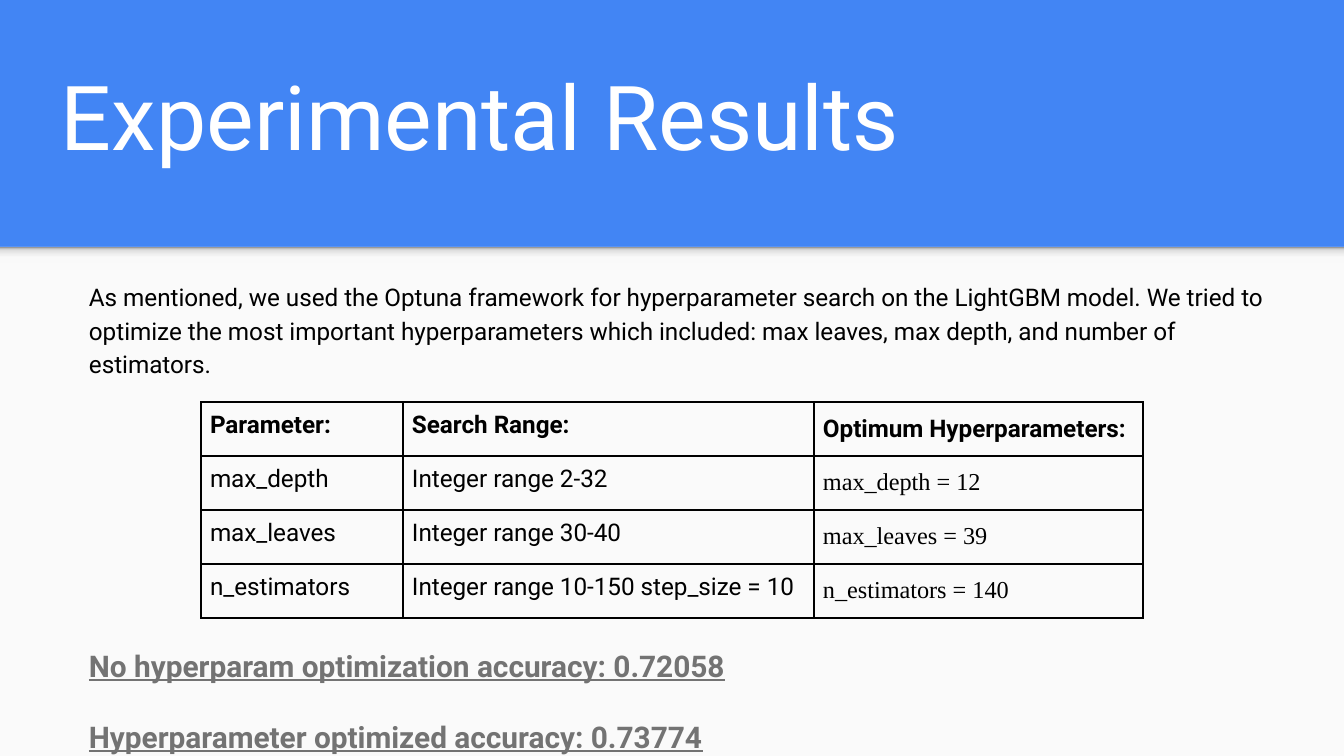
from lxml import etree
from pptx import Presentation
from pptx.dml.color import RGBColor
from pptx.enum.shapes import MSO_SHAPE
from pptx.enum.text import MSO_ANCHOR
from pptx.oxml.ns import qn
from pptx.util import Pt

RECTANGLE = MSO_SHAPE.RECTANGLE
TOP, BOTTOM = MSO_ANCHOR.TOP, MSO_ANCHOR.BOTTOM

EMU_PER_PX = 914400 / 134.4
PAGE_WIDTH, PAGE_HEIGHT = 1344, 756
BAND_HEIGHT = 247
INSET = 13
CELL_INSET = 9
LINE_SPACING = 1.15

SANS, SERIF = "Roboto", "Times New Roman"
COLORS = {
    "band": "4285F4",
    "panel": "FAFAFA",
    "title": "FFFFFF",
    "text": "000000",
    "accuracy": "737373",
    "border": "000000",
}
SHADOW_STOPS = [(0, "F9F9F9"), (36, "F9F9F9"), (80, "DEDEDE"), (100, "999999")]

INTRO = (
    "As mentioned, we used the Optuna framework for hyperparameter search on the "
    "LightGBM model. We tried to optimize the most important hyperparameters which "
    "included: max leaves, max depth, and number of estimators."
)
ACCURACIES = [
    "No hyperparam optimization accuracy: 0.72058",
    "Hyperparameter optimized accuracy: 0.73774",
]
COLUMN_WIDTHS = [202, 411, 329]
ROW_HEIGHT = 54
ROWS = [
    ["Parameter:", "Search Range:", "Optimum Hyperparameters:"],
    ["max_depth", "Integer range 2-32", "max_depth = 12"],
    ["max_leaves", "Integer range 30-40", "max_leaves = 39"],
    ["n_estimators", "Integer range 10-150 step_size = 10", "n_estimators = 140"],
]


def px(length):
    return round(length * EMU_PER_PX)


def rgb(name):
    return RGBColor.from_string(COLORS[name])


def write(para, text, size=13, font=SANS, color="text", bold=False,
          underline=False, spacing=1.0, after=0):
    """Put one formatted run of text into a paragraph."""
    para.line_spacing = spacing
    para.space_before = Pt(0)
    para.space_after = Pt(after)
    span = para.add_run()
    span.text = text
    span.font.size = Pt(size)
    span.font.name = font
    span.font.bold = bold
    span.font.underline = underline
    span.font.color.rgb = rgb(color)


def add_text(page, left, top, width, height, texts, anchor=TOP, **style):
    box = page.shapes.add_textbox(px(left), px(top), px(width), px(height))
    frame = box.text_frame
    frame.word_wrap = True
    frame.vertical_anchor = anchor
    frame.margin_left = frame.margin_right = px(INSET)
    frame.margin_top = frame.margin_bottom = px(INSET)
    for index, text in enumerate(texts):
        para = frame.add_paragraph() if index else frame.paragraphs[0]
        write(para, text, **style)


def add_panel(page, top, height):
    panel = page.shapes.add_shape(RECTANGLE, 0, px(top), px(PAGE_WIDTH), px(height))
    panel.shadow.inherit = False
    panel.line.fill.background()
    panel.fill.solid()
    panel.fill.fore_color.rgb = rgb("panel")
    return panel


def shade_upward(shape, stops):
    """Fill a shape with a gradient that runs from bottom to top."""
    shape.fill.gradient()
    shape.fill.gradient_angle = 90
    stop_list = shape._element.spPr.find(qn("a:gradFill")).find(qn("a:gsLst"))
    for old_stop in list(stop_list):
        stop_list.remove(old_stop)
    for percent, color in stops:
        stop = etree.SubElement(stop_list, qn("a:gs"), pos=str(percent * 1000))
        etree.SubElement(stop, qn("a:srgbClr"), val=color)


def draw_borders(cell):
    properties = cell._tc.get_or_add_tcPr()
    for index, side in enumerate(["lnL", "lnR", "lnT", "lnB"]):
        line = etree.Element(qn(f"a:{side}"), w=str(Pt(1)))
        fill = etree.SubElement(line, qn("a:solidFill"))
        etree.SubElement(fill, qn("a:srgbClr"), val=COLORS["border"])
        properties.insert(index, line)


def add_parameter_table(page, left, top):
    table = page.shapes.add_table(
        len(ROWS), len(COLUMN_WIDTHS), px(left), px(top),
        px(sum(COLUMN_WIDTHS)), px(ROW_HEIGHT * len(ROWS))).table
    table.first_row = table.horz_banding = False
    for column, width in zip(table.columns, COLUMN_WIDTHS):
        column.width = px(width)
    for row_index, texts in enumerate(ROWS):
        table.rows[row_index].height = px(ROW_HEIGHT)
        is_header = row_index == 0
        for column_index, text in enumerate(texts):
            is_optimum = column_index == len(texts) - 1
            cell = table.cell(row_index, column_index)
            cell.fill.background()
            cell.margin_left = cell.margin_right = px(CELL_INSET)
            cell.margin_top = cell.margin_bottom = px(CELL_INSET)
            write(cell.text_frame.paragraphs[0], text, bold=is_header,
                  font=SERIF if is_optimum and not is_header else SANS,
                  spacing=LINE_SPACING if is_optimum else 1.0)
            draw_borders(cell)


def main():
    deck = Presentation()
    deck.slide_width, deck.slide_height = px(PAGE_WIDTH), px(PAGE_HEIGHT)
    page = deck.slides.add_slide(deck.slide_layouts[6])

    # Blue band above a light panel with a soft edge
    page.background.fill.solid()
    page.background.fill.fore_color.rgb = rgb("band")
    add_panel(page, BAND_HEIGHT, PAGE_HEIGHT - BAND_HEIGHT)
    shade_upward(add_panel(page, BAND_HEIGHT, 16), SHADOW_STOPS)

    # Title and introduction
    add_text(page, 48, 50, 1224, 131, ["Experimental Results"],
             anchor=BOTTOM, size=48, color="title")
    add_text(page, 76, 265, 1239, 130, [INTRO], spacing=LINE_SPACING)

    # Search ranges and results
    add_parameter_table(page, 201, 402)
    add_text(page, 76, 629, 1239, 127, ACCURACIES, size=16, color="accuracy",
             bold=True, underline=True, spacing=LINE_SPACING, after=16)

    deck.save("out.pptx")


if __name__ == "__main__":
    main()
